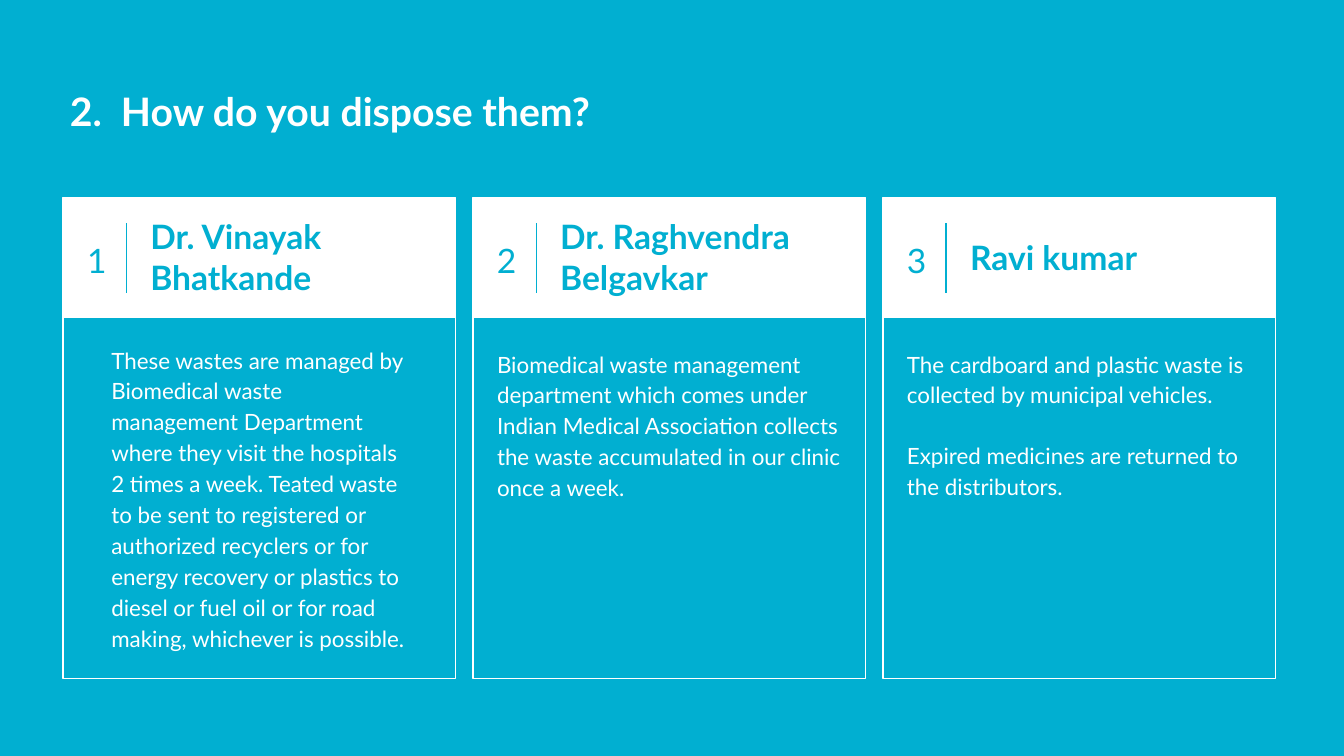
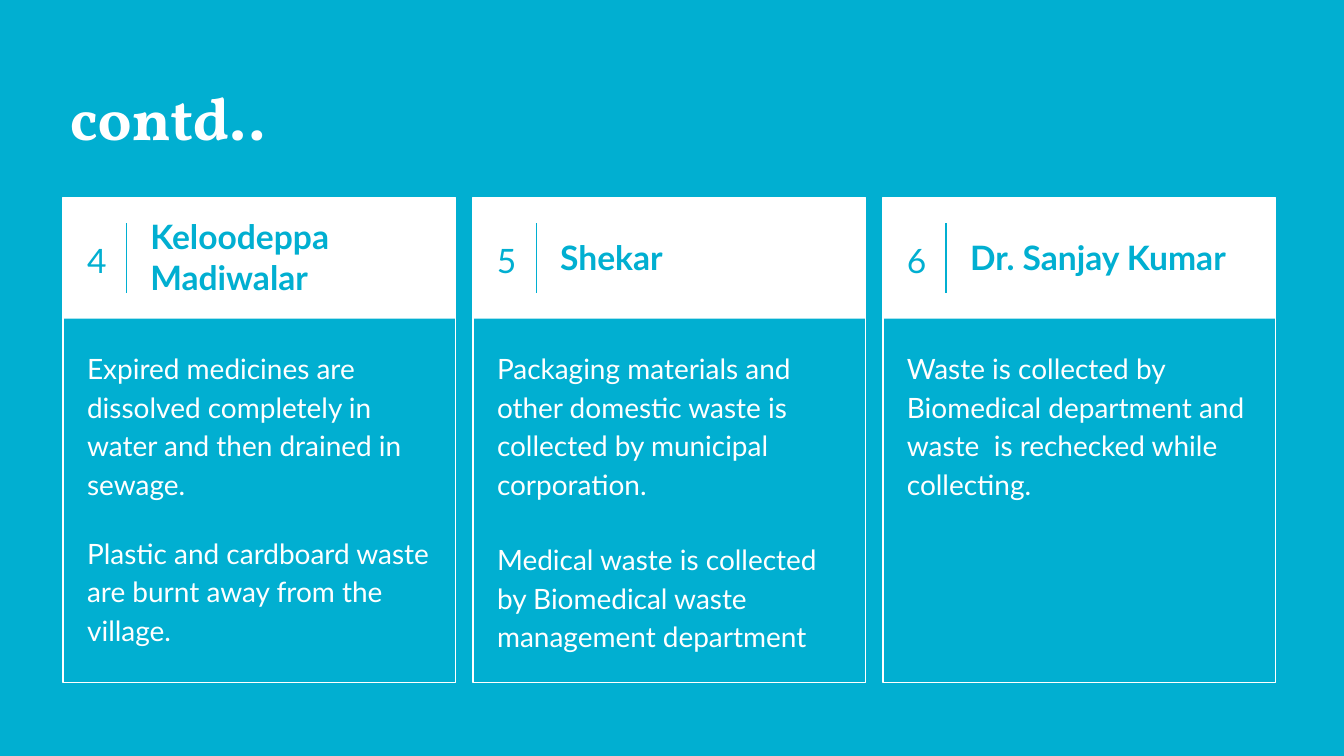
import pptx
import pptx.dml.color
import pptx.enum.shapes
import pptx.enum.text
import pptx.util
from pptx.oxml import parse_xml

Inches, Pt = pptx.util.Inches, pptx.util.Pt
ALIGN, ANCHOR = pptx.enum.text.PP_ALIGN, pptx.enum.text.MSO_ANCHOR
COLORS = {name: pptx.dml.color.RGBColor.from_string(value)
          for name, value in {"cyan": "01AFD1", "white": "FFFFFF"}.items()}

# Card grid, in inches
CARD_LEFT, CARD_TOP, CARD_WIDTH, CARD_STEP = 0.47, 1.47, 2.92, 3.05
LABEL_TOP, LABEL_HEIGHT = 1.46, 0.9

# Each card: number, person, answer paragraphs, gap between them in points
SLIDES = [
    {"title": "2.  How do you dispose them?", "font": "Lato", "size": 21,
     "spacing": 1.15, "card_height": 3.58, "answer_size": 12,
     "cards": [
         ("1", "Dr. Vinayak Bhatkande",
          ["These wastes are managed by Biomedical waste management Department "
           "where they visit the hospitals 2 times a week. Teated waste to be sent "
           "to registered or authorized recyclers or for energy recovery or plastics "
           "to diesel or fuel oil or for road making, whichever is possible."], 0),
         ("2", "Dr. Raghvendra Belgavkar",
          ["Biomedical waste management department which comes under Indian Medical "
           "Association collects the waste accumulated in our clinic once a week."], 0),
         ("3", "Ravi kumar",
          ["The cardboard and plastic waste is collected by municipal vehicles.",
           "Expired medicines are returned to the distributors."], 16),
     ]},
    {"title": "contd..", "font": "Vollkorn", "size": 32,
     "spacing": 1.0, "card_height": 3.61, "answer_size": 15,
     "cards": [
         ("4", "Keloodeppa  Madiwalar",
          ["Expired medicines are dissolved completely in water and then drained "
           "in sewage.",
           "Plastic and cardboard waste are burnt away from the village."], 16),
         ("5", "Shekar",
          ["Packaging materials and other domestic waste is collected by municipal "
           "corporation.",
           "Medical waste is collected by Biomedical waste management department"], 19.5),
         ("6", "Dr. Sanjay Kumar",
          ["Waste is collected by Biomedical department and waste  is rechecked "
           "while collecting."], 0),
     ]},
]


def write(shape, paragraphs, size, color, font="Lato", bold=False, spacing=1.0,
          align=ALIGN.LEFT, anchor=ANCHOR.TOP, gap=0):
    frame = shape.text_frame
    frame.text = "\n".join(paragraphs)
    frame.word_wrap = True
    frame.auto_size = pptx.enum.text.MSO_AUTO_SIZE.NONE
    frame.vertical_anchor = anchor
    frame.margin_left = frame.margin_right = Inches(0.1)
    frame.margin_top = frame.margin_bottom = Inches(0.1)
    for index, paragraph in enumerate(frame.paragraphs):
        paragraph.alignment = align
        paragraph.line_spacing = spacing
        paragraph.space_before = Pt(gap if index else 0)
        for run in paragraph.runs:
            run.font.name, run.font.size, run.font.bold = font, Pt(size), bold
            run.font.color.rgb = COLORS[color]


def add_text(slide, left, top, width, height, paragraphs, size, color, **style):
    box = slide.shapes.add_textbox(Inches(left), Inches(top), Inches(width), Inches(height))
    write(box, paragraphs, size, color, **style)
    return box


# Widescreen deck, 16 to 9
deck = pptx.Presentation()
deck.slide_width = Inches(10)
deck.slide_height = deck.slide_width * 9 // 16

for content in SLIDES:
    slide = deck.slides.add_slide(deck.slide_layouts[5])
    slide.background.fill.solid()
    slide.background.fill.fore_color.rgb = COLORS["cyan"]

    # Title
    title = slide.shapes.title
    title.left, title.top = Inches(0.42), Inches(0.5)
    title.width, title.height = Inches(9.15), Inches(0.75)
    write(title, [content["title"]], content["size"], "white", font=content["font"],
          bold=True, spacing=content["spacing"])

    for column, (number, person, answer, gap) in enumerate(content["cards"]):
        left = CARD_LEFT + column * CARD_STEP

        # Card outline, with a white header over its top quarter
        card = slide.shapes.add_group_shape()
        outline, header = [
            card.shapes.add_shape(pptx.enum.shapes.MSO_SHAPE.RECTANGLE, Inches(left),
                                  Inches(CARD_TOP), Inches(CARD_WIDTH), Inches(height))
            for height in (content["card_height"], content["card_height"] / 4)]
        outline.shadow.inherit = header.shadow.inherit = False
        outline.fill.background()
        outline.line.color.rgb = COLORS["white"]
        outline.line.width = Pt(0.75)
        header.fill.solid()
        header.fill.fore_color.rgb = COLORS["white"]
        header.line.fill.background()

        # Number, divider and person
        add_text(slide, left + 0.06, LABEL_TOP, 0.38, LABEL_HEIGHT, [number], 18, "cyan",
                 spacing=1.15, align=ALIGN.CENTER, anchor=ANCHOR.MIDDLE)
        divider = slide.shapes.add_connector(
            pptx.enum.shapes.MSO_CONNECTOR.STRAIGHT, Inches(left + 0.47),
            Inches(CARD_TOP + 0.19), Inches(left + 0.47), Inches(CARD_TOP + 0.71))
        divider.line.color.rgb = COLORS["cyan"]
        divider.line.width = Pt(0.75)
        divider._element.spPr.append(parse_xml(
            '<a:effectLst xmlns:a="http://schemas.openxmlformats.org/drawingml/2006/main"/>'))
        add_text(slide, left + 0.55, LABEL_TOP, 2.3, LABEL_HEIGHT, [person], 18, "cyan",
                 bold=True, anchor=ANCHOR.MIDDLE)

        # Answer; the first one is indented
        indented = number == "1"
        box = (left - 0.24, 2.45, 2.92, 2.6) if indented else (left + 0.08, 2.48, 2.77, 2.6)
        answer_box = add_text(slide, *box, answer, content["answer_size"], "white",
                              spacing=1.15, gap=gap)
        if indented:
            properties = answer_box.text_frame.paragraphs[0]._p.get_or_add_pPr()
            properties.set("marL", str(Inches(0.5)))
            properties.set("indent", "0")

deck.save("out.pptx")
